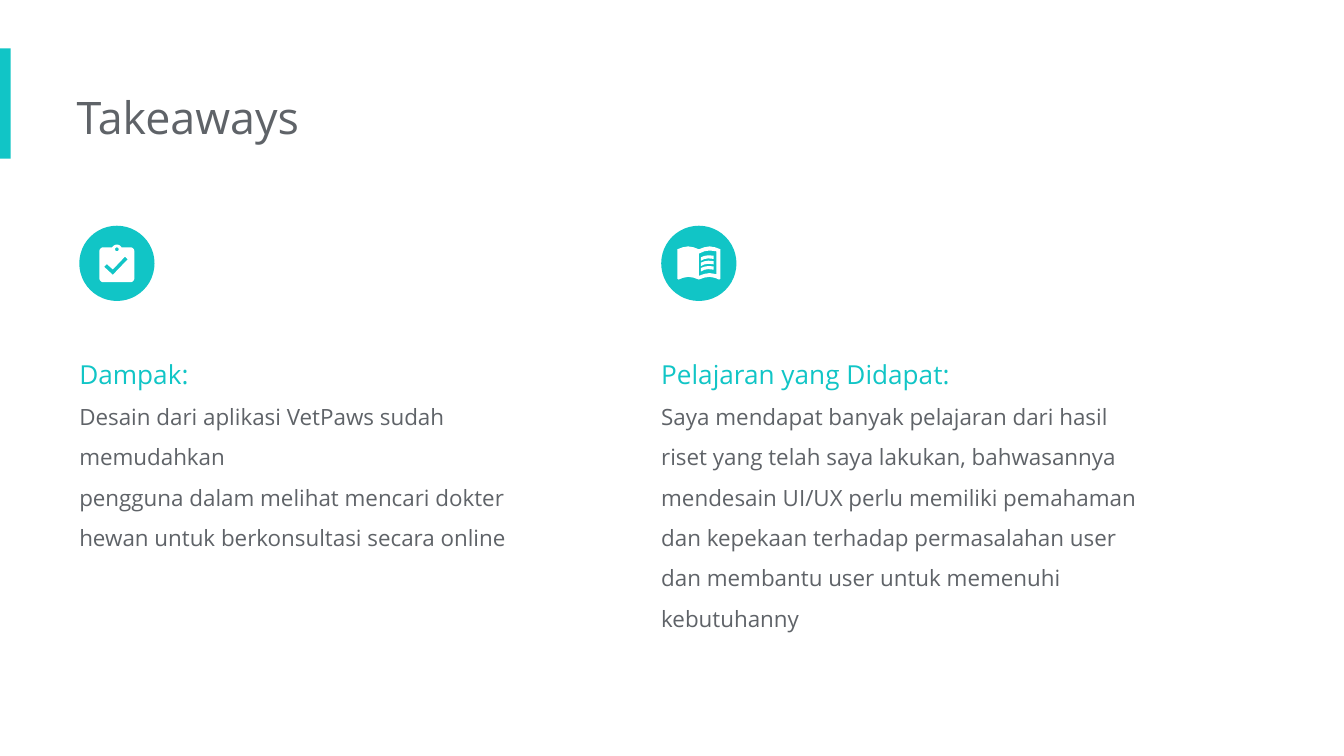
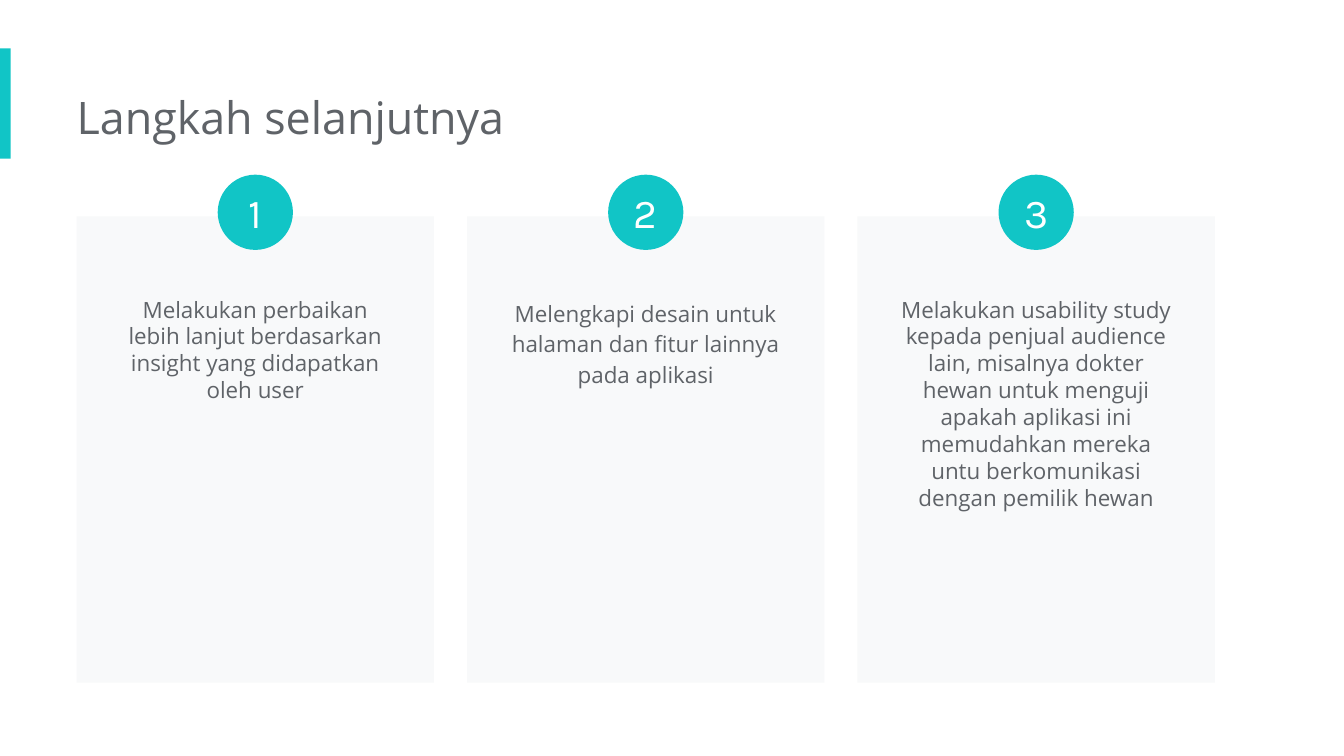
import math

import pptx
import pptx.util
from pptx.dml.color import RGBColor
from pptx.enum.shapes import MSO_SHAPE
from pptx.enum.text import MSO_ANCHOR, MSO_AUTO_SIZE, PP_ALIGN

TEAL = RGBColor(0x11, 0xC5, 0xC6)
GRAY = RGBColor(0x5F, 0x63, 0x68)
PALE = RGBColor(0xF8, 0xF9, 0xFA)
WHITE = RGBColor(0xFF, 0xFF, 0xFF)
FONT = "Open Sans"
NUMBER_FONT = "Karla"

# Square grid: 100 columns by 56.25 rows
SLIDE_W = pptx.util.Inches(10)
SLIDE_H = pptx.util.Inches(5.625)
CELL = SLIDE_W / 100
INSET = 1
BADGE = 5.6

TAKEAWAYS = [
    ("Dampak:", ["Desain dari aplikasi VetPaws sudah memudahkan",
                 "pengguna dalam melihat mencari dokter hewan untuk "
                 "berkonsultasi secara online"], 17.7),
    ("Pelajaran yang Didapat:",
     ["Saya mendapat banyak pelajaran dari hasil riset yang telah saya "
      "lakukan, bahwasannya mendesain UI/UX perlu memiliki pemahaman dan "
      "kepekaan terhadap permasalahan user dan membantu user untuk "
      "memenuhi kebutuhanny"], 23.7),
]

# Text, line spacing and text box rows of each step
STEPS = [
    ("Melakukan perbaikan lebih lanjut berdasarkan insight yang didapatkan "
     "oleh user", 1.0, 10.1),
    ("Melengkapi desain untuk halaman dan fitur lainnya pada aplikasi",
     1.15, 11.3),
    ("Melakukan usability study kepada penjual audience lain, misalnya "
     "dokter hewan untuk menguji apakah aplikasi ini memudahkan mereka untu "
     "berkomunikasi dengan pemilik hewan", 1.0, 22.2),
]


def cells(*values):
    return [pptx.util.Emu(round(v * CELL)) for v in values]


def add_run(p, text, size, color, font=FONT):
    r = p.add_run()
    r.text = text
    r.font.size = pptx.util.Pt(size)
    r.font.name = font
    r.font.color.rgb = color


def paint(sp, color):
    sp.shadow.inherit = False
    sp.fill.solid()
    sp.fill.fore_color.rgb = color
    sp.line.fill.background()


def add_block(slide, kind, x, y, w, h, color):
    sp = slide.shapes.add_shape(kind, *cells(x, y, w, h))
    paint(sp, color)
    return sp


def add_badge(slide, x, y):
    return add_block(slide, MSO_SHAPE.OVAL, x, y, BADGE, BADGE, TEAL)


def add_text(slide, x, y, w, h, lines, left=0, align=PP_ALIGN.LEFT, spacing=1.0):
    """Each line is (text, size, color) and becomes a paragraph."""
    sp = slide.shapes.add_textbox(*cells(x, y, w, h))
    tf = sp.text_frame
    tf.word_wrap = True
    tf.auto_size = MSO_AUTO_SIZE.SHAPE_TO_FIT_TEXT
    tf.margin_left, tf.margin_top, tf.margin_right, tf.margin_bottom = cells(
        left, INSET, INSET, INSET)
    for i, line in enumerate(lines):
        p = tf.paragraphs[0] if i == 0 else tf.add_paragraph()
        p.alignment = align
        p.line_spacing = spacing
        add_run(p, *line)


def add_outline(slide, x, y, contours):
    """White icon part; inner contours cut holes. Points are tenths of a cell."""
    paths = [[cells(x + px / 10, y + py / 10) for px, py in contour]
             for contour in contours]
    builder = slide.shapes.build_freeform(*paths[0][0])
    for i, points in enumerate(paths):
        if i:
            builder.move_to(*points[0])
        builder.add_line_segments(points[1:], close=True)
    paint(builder.convert_to_shape(), WHITE)


def arc(cx, cy, radius, start, end, steps=8):
    angles = [math.radians(start + (end - start) * i / steps)
              for i in range(steps + 1)]
    return [(cx + radius * math.cos(a), cy + radius * math.sin(a)) for a in angles]


def add_clipboard(slide, x, y):
    board = (arc(28, 18, 4, 210, 330) + arc(38, 19, 3, 270, 360)
             + arc(38, 39, 3, 0, 90) + arc(18, 39, 3, 90, 180)
             + arc(18, 19, 3, 180, 270))
    pin = arc(28, 17.5, 1.4, 0, 360, 16)
    check = [(25, 36.5), (18.5, 30.5), (20.5, 28.5), (25, 32.5),
             (34, 23), (36, 25)]
    add_outline(slide, x, y, [board, pin, check])


def add_book(slide, x, y):
    cover = [(12, 17.5), (16, 16), (20, 15.3), (24, 16), (28, 17.5),
             (32, 16), (36, 15.3), (40, 16), (44, 17.5),
             (44, 39.5), (43, 40), (40, 38.8), (36, 38), (32, 38.6), (28, 40),
             (24, 38.6), (20, 38), (16, 38.8), (13, 40), (12, 39.5)]
    page = [(28, 20.7), (32, 19), (36, 18.4), (41, 19),
            (41, 36), (36, 35.2), (32, 35.8), (28, 37.3)]
    add_outline(slide, x, y, [cover, page])
    for top in (22, 26, 30):
        line = [(29.5, 1.5), (32, 0.5), (35, 0), (39, 0.3),
                (39, 2.7), (35, 2.3), (32, 2.8), (29.5, 4)]
        add_outline(slide, x, y, [[(px, top + py) for px, py in line]])


def add_titled_slide(prs, title):
    slide = prs.slides.add_slide(prs.slide_layouts[6])
    slide.background.fill.solid()
    slide.background.fill.fore_color.rgb = WHITE
    add_block(slide, MSO_SHAPE.RECTANGLE, 0, 3.6, 0.8, 8.2, TEAL)
    add_text(slide, 5.7, 5.7, 53.9, 6.1, [(title, 24, GRAY)])
    return slide


def add_takeaway(slide, x, heading, body, height, add_icon):
    add_text(slide, x, 24.5, 37.7, height,
             [(heading, 14, TEAL)] + [(text, 12, GRAY) for text in body],
             spacing=1.5)
    add_badge(slide, x, 16.8)
    add_icon(slide, x, 16.8)


def add_step(slide, x, number, text, spacing, height):
    card_w, text_w = 26.6, 22.4
    add_block(slide, MSO_SHAPE.RECTANGLE, x, 16.1, card_w, 34.7, PALE)
    add_text(slide, x + (card_w - text_w) / 2, 21, text_w, height,
             [(text, 12, GRAY)], INSET, PP_ALIGN.CENTER, spacing)
    tf = add_badge(slide, x + (card_w - BADGE) / 2, 13).text_frame
    tf.margin_left = tf.margin_top = tf.margin_right = tf.margin_bottom = 0
    tf.vertical_anchor = MSO_ANCHOR.MIDDLE
    p = tf.paragraphs[0]
    p.alignment = PP_ALIGN.CENTER
    add_run(p, str(number), 22, WHITE, NUMBER_FONT)


def main():
    prs = pptx.Presentation()
    prs.slide_width, prs.slide_height = SLIDE_W, SLIDE_H

    # Takeaways: two columns with icons
    slide = add_titled_slide(prs, "Takeaways")
    icons = (add_clipboard, add_book)
    for i, (takeaway, add_icon) in enumerate(zip(TAKEAWAYS, icons)):
        add_takeaway(slide, 5.9 + 43.3 * i, *takeaway, add_icon)

    # Next steps: three numbered cards
    slide = add_titled_slide(prs, "Langkah selanjutnya")
    for i, step in enumerate(STEPS):
        add_step(slide, 5.7 + 29.05 * i, i + 1, *step)

    prs.save("out.pptx")


if __name__ == "__main__":
    main()
